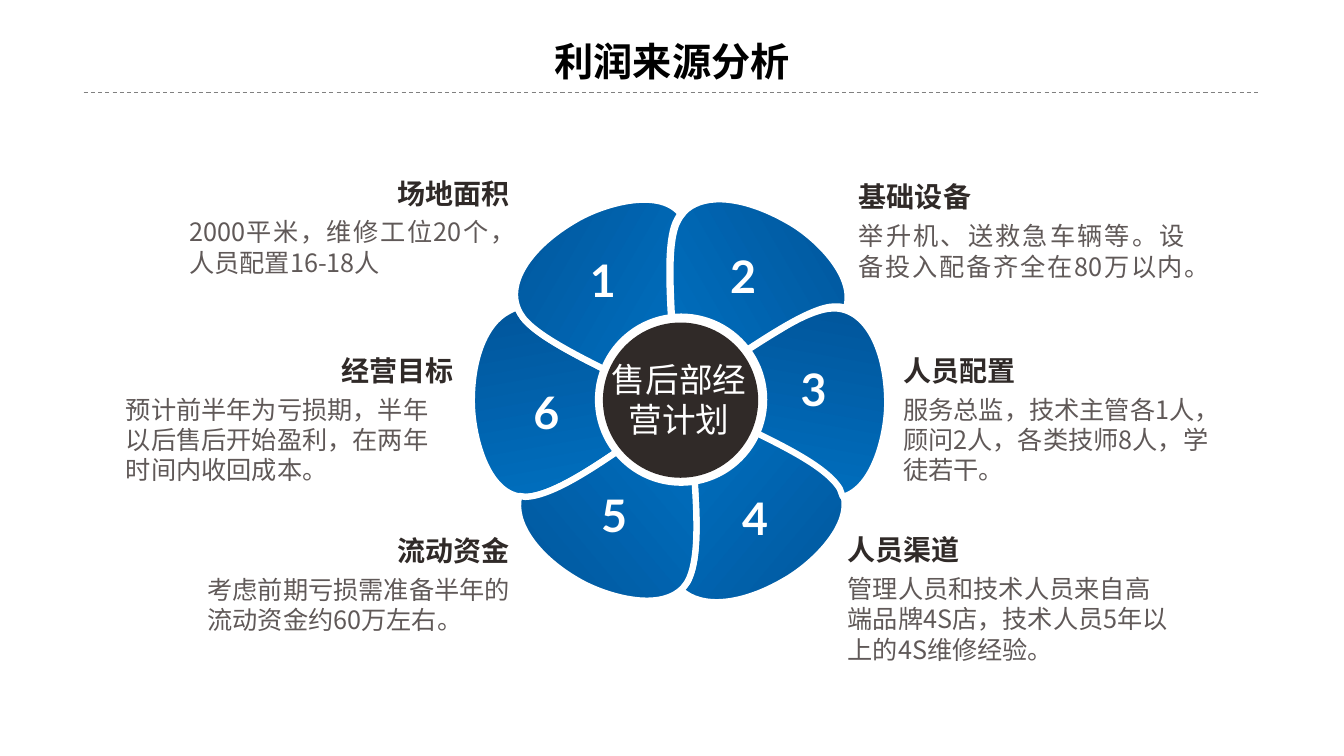
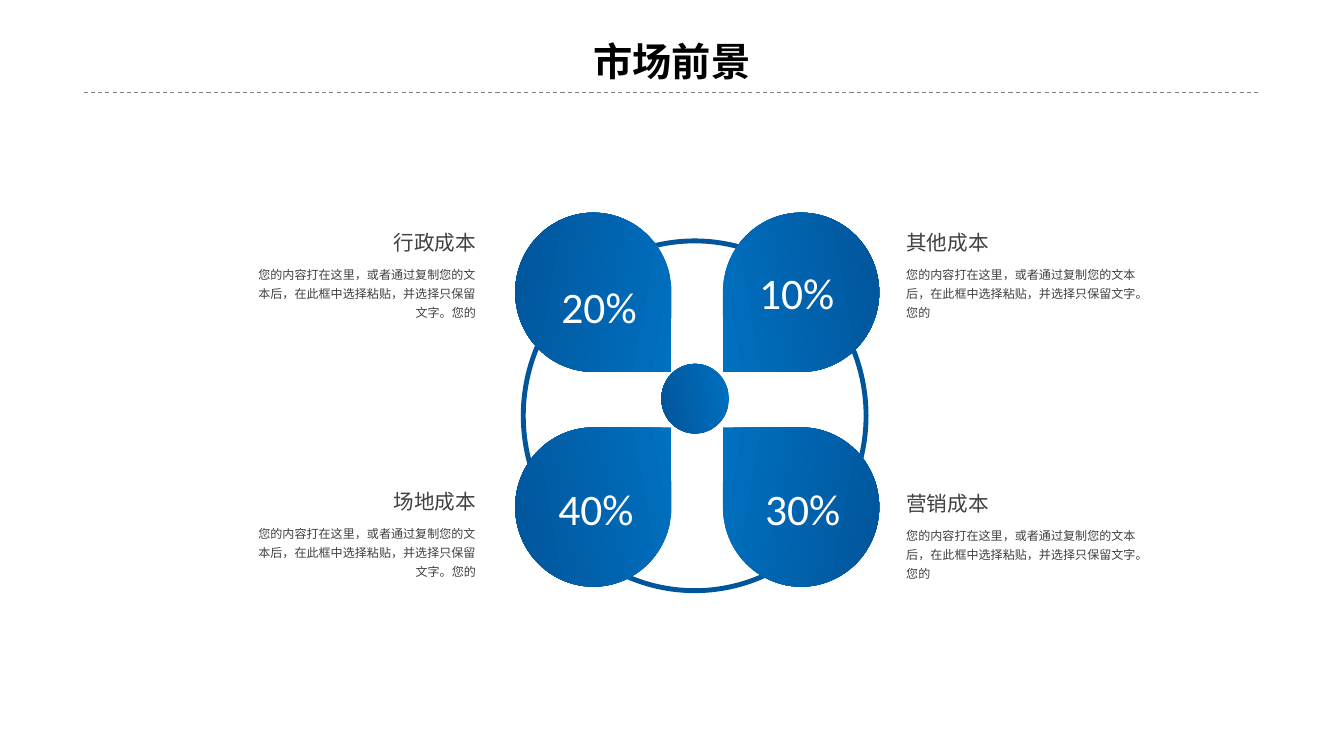
from dataclasses import dataclass
from itertools import chain

from lxml.etree import SubElement
from pptx import Presentation
from pptx.dml.color import RGBColor
from pptx.enum.dml import MSO_LINE
from pptx.enum.shapes import MSO_CONNECTOR, MSO_SHAPE
from pptx.enum.text import MSO_AUTO_SIZE, PP_ALIGN
from pptx.oxml.ns import qn
from pptx.util import Inches, Pt

COLORS = {
    "title": "000000", "rule": "808080", "white": "FFFFFF", "dark": "302A28",
    "body": "605958", "gray": "404040", "light_blue": "0070C0", "blue": "01559B",
}
CJK = "Noto Sans CJK SC"
LEFT, CENTER, RIGHT, JUSTIFY = (
    PP_ALIGN.LEFT, PP_ALIGN.CENTER, PP_ALIGN.RIGHT, PP_ALIGN.JUSTIFY)
GRADIENT_ANGLE = 170


@dataclass(frozen=True)
class TextStyle:
    size: float
    color: str
    font: str = CJK
    bold: bool = False
    spacing: float | None = None
    margin_y: float = 0.05


TITLE = TextStyle(28, "title", bold=True)
TOPIC = TextStyle(20, "dark", bold=True)
DETAIL = TextStyle(18, "body")
HUB = TextStyle(24, "white", "Lato")
NUMBER = TextStyle(32, "white", "Lato", bold=True)
PERCENT = TextStyle(31.1, "white", "Calibri")
COST = TextStyle(14.7, "gray", spacing=1.5, margin_y=0)
NOTE = TextStyle(8.65, "gray", spacing=1.3)


@dataclass(frozen=True)
class Petal:
    """Segments hold one point for a line, three for a Bezier curve."""
    angle: int
    start: tuple
    segments: tuple


@dataclass(frozen=True)
class Topic:
    number: str
    number_at: tuple
    heading: str
    heading_box: tuple
    heading_align: PP_ALIGN
    detail: str
    detail_box: tuple
    detail_align: PP_ALIGN = LEFT


@dataclass(frozen=True)
class Cost:
    name: str
    name_box: tuple
    note_box: tuple
    align: PP_ALIGN
    percent: str
    percent_box: tuple
    drop_at: tuple
    flips: tuple


PETALS = (
    Petal(330, (6.85, 2.05), (
        (7.07, 1.91, 7.44, 1.98, 7.81, 2.19), (8.07, 2.33, 8.5, 2.73, 8.39, 3.06),
        (8.35, 3.04, 8.32, 3.04, 8.28, 3.04), (8.03, 3.04, 7.52, 3.4, 7.05, 3.71),
        (7.05, 3.79), (6.69, 3.58), (6.66, 3.01, 6.6, 2.4, 6.73, 2.18),
        (6.76, 2.13, 6.8, 2.08, 6.85, 2.05))),
    Petal(260, (5.04, 3.09), (
        (5.07, 3.07, 5.1, 3.06, 5.13, 3.05), (5.14, 3.07, 5.15, 3.09, 5.16, 3.11),
        (5.28, 3.33, 5.85, 3.59, 6.35, 3.84), (6.44, 3.79), (6.44, 4.26),
        (5.99, 4.57, 5.51, 4.92, 5.21, 4.93), (4.82, 4.93, 4.68, 4.3, 4.68, 3.98),
        (4.68, 3.56, 4.81, 3.21, 5.04, 3.09))),
    Petal(40, (6.76, 4.31), (
        (7.14, 4.1), (7.63, 4.34, 8.18, 4.58, 8.33, 4.83),
        (8.53, 5.17, 8.05, 5.61, 7.78, 5.76), (7.37, 6, 6.96, 6.05, 6.75, 5.85),
        (6.78, 5.83, 6.8, 5.8, 6.82, 5.77), (6.96, 5.51, 6.9, 4.92, 6.86, 4.37))),
    Petal(210, (5.71, 2.18), (
        (5.96, 2.03, 6.53, 1.85, 6.75, 2.12), (6.74, 2.14, 6.73, 2.15, 6.72, 2.17),
        (6.59, 2.39, 6.65, 3.01, 6.68, 3.57), (6.75, 3.61), (6.35, 3.84),
        (5.85, 3.59, 5.28, 3.33, 5.16, 3.11), (4.99, 2.82, 5.26, 2.44, 5.71, 2.18))),
    Petal(280, (7.74, 3.27), (
        (7.95, 3.14, 8.14, 3.06, 8.27, 3.06), (8.6, 3.06, 8.8, 3.48, 8.8, 4),
        (8.8, 4.29, 8.68, 4.84, 8.36, 4.93), (8.35, 4.9, 8.34, 4.88, 8.33, 4.85),
        (8.18, 4.6, 7.63, 4.36, 7.14, 4.12), (7.04, 4.18), (7.04, 3.72),
        (7.27, 3.57, 7.52, 3.4, 7.74, 3.27))),
    Petal(140, (6.44, 4.13), (
        (6.86, 4.37), (6.9, 4.92, 6.96, 5.51, 6.82, 5.77),
        (6.62, 6.11, 6, 5.92, 5.73, 5.76), (5.33, 5.53, 5.08, 5.19, 5.15, 4.92),
        (5.21, 4.93), (5.51, 4.92, 5.99, 4.57, 6.44, 4.26))),
)

TOPICS = (
    Topic("1", (5.74, 2.46), "场地面积", (3.07, 1.7, 2.08, 0.44), RIGHT,
          "2000平米，维修工位20个，人员配置16-18人", (1.78, 2.1, 3.43, 0.71), JUSTIFY),
    Topic("2", (7.13, 2.42), "基础设备", (8.42, 1.73, 2.08, 0.44), LEFT,
          "举升机、送救急车辆等。设备投入配备齐全在80万以内。",
          (8.42, 2.14, 3.43, 0.71), JUSTIFY),
    Topic("3", (7.83, 3.54), "人员配置", (8.86, 3.46, 2.2, 0.44), LEFT,
          "服务总监，技术主管各1人，顾问2人，各类技师8人，学徒若干。",
          (8.86, 3.86, 3.43, 1.01)),
    Topic("4", (7.25, 4.82), "人员渠道", (8.31, 5.23, 2.68, 0.44), LEFT,
          "管理人员和技术人员来自高端品牌4S店，技术人员5年以上的4S维修经验。",
          (8.31, 5.64, 3.43, 1.01)),
    Topic("5", (5.85, 4.79), "流动资金", (2.95, 5.24, 2.2, 0.44), RIGHT,
          "考虑前期亏损需准备半年的流动资金约60万左右。", (1.96, 5.65, 3.43, 0.71)),
    Topic("6", (5.18, 3.77), "经营目标", (3.28, 3.46, 1.32, 0.44), RIGHT,
          "预计前半年为亏损期，半年以后售后开始盈利，在两年时间内收回成本。",
          (1.15, 3.86, 3.43, 1.01)),
)

COST_NOTE = "您的内容打在这里，或者通过复制您的文本后，在此框中选择粘贴，并选择只保留文字。您的"
COSTS = (
    Cost("行政成本", (3.3, 2.16, 1.52, 0.37), (2.43, 2.56, 2.39, 0.67), RIGHT,
         "20%", (5.47, 2.73, 1.05, 0.63), (5.11, 2.11), ("flipV",)),
    Cost("其他成本", (8.89, 2.16, 1.02, 0.37), (8.89, 2.56, 2.53, 0.67), LEFT,
         "10%", (7.43, 2.59, 1.18, 0.63), (7.17, 2.11), ("flipH", "flipV")),
    Cost("营销成本", (8.89, 4.75, 1.02, 0.37), (8.89, 5.15, 2.53, 0.67), LEFT,
         "30%", (7.49, 4.73, 1.06, 0.63), (7.17, 4.24), ("flipH",)),
    Cost("场地成本", (3.3, 4.73, 1.52, 0.37), (2.43, 5.13, 2.39, 0.67), RIGHT,
         "40%", (5.44, 4.73, 1.04, 0.63), (5.11, 4.24), ()),
)


def rgb(name: str) -> RGBColor:
    return RGBColor.from_string(COLORS[name])


def add_text(slide, box: tuple, text: str, style: TextStyle, align=LEFT) -> None:
    tf = slide.shapes.add_textbox(*map(Inches, box)).text_frame
    tf.word_wrap = True
    tf.auto_size = MSO_AUTO_SIZE.SHAPE_TO_FIT_TEXT
    tf.margin_top = tf.margin_bottom = Inches(style.margin_y)
    p = tf.paragraphs[0]
    p.alignment = align
    if style.spacing:
        p.line_spacing = style.spacing
    r = p.add_run()
    r.text = text
    r.font.size = Pt(style.size)
    r.font.bold = style.bold
    r.font.name = style.font
    r.font.color.rgb = rgb(style.color)
    SubElement(r.font._element, qn("a:ea")).set("typeface", CJK)


def fill_gradient(sp, angle: int = GRADIENT_ANGLE) -> None:
    """Run from light to dark blue; the angle is clockwise."""
    sp.fill.gradient()
    sp.fill.gradient_angle = 360 - angle
    for stop, position, color in zip(
            sp.fill.gradient_stops, (0, 1), ("light_blue", "blue")):
        stop.position = position
        stop.color.rgb = rgb(color)


def add_plain(slide, kind: MSO_SHAPE, box: tuple):
    sp = slide.shapes.add_shape(kind, *map(Inches, box))
    sp.shadow.inherit = False
    sp.line.fill.background()
    return sp


def add_disc(slide, box: tuple, color: str) -> None:
    sp = add_plain(slide, MSO_SHAPE.OVAL, box)
    sp.fill.solid()
    sp.fill.fore_color.rgb = rgb(color)


def bend_lines(sp, segments: tuple) -> None:
    """Merge the three lines of each curved segment into one Bezier curve."""
    lines = iter(list(sp._element.iter(qn("a:lnTo"))))
    for segment in segments:
        parts = [next(lines) for _ in segment[::2]]
        if len(parts) == 3:
            curve = parts[0].getparent().makeelement(qn("a:cubicBezTo"))
            parts[0].addprevious(curve)
            for part in parts:
                curve.append(part[0])
                part.getparent().remove(part)


def add_petal(slide, petal: Petal) -> None:
    points = chain.from_iterable(zip(s[::2], s[1::2]) for s in petal.segments)
    builder = slide.shapes.build_freeform(*map(Inches, petal.start))
    builder.add_line_segments([(Inches(x), Inches(y)) for x, y in points], close=True)
    sp = builder.convert_to_shape()
    bend_lines(sp, petal.segments)
    sp.shadow.inherit = False
    fill_gradient(sp, petal.angle)
    sp.line.color.rgb = rgb("white")
    sp.line.width = Pt(4.5)


def add_titled_slide(prs, title: str):
    slide = prs.slides.add_slide(prs.slide_layouts[6])
    add_text(slide, (3.91, 0.32, 5.51, 0.57), title, TITLE, CENTER)
    rule = slide.shapes.add_connector(
        MSO_CONNECTOR.STRAIGHT, Inches(0.83), Inches(0.92), Inches(12.5), Inches(0.92))
    rule.line.color.rgb = rgb("rule")
    rule.line.width = Pt(0.75)
    rule.line.dash_style = MSO_LINE.DASH
    SubElement(rule._element.spPr, qn("a:effectLst"))
    return slide


def build_profit_slide(prs) -> None:
    slide = add_titled_slide(prs, "利润来源分析")
    for petal in PETALS:
        add_petal(slide, petal)
    add_disc(slide, (5.9, 3.11, 1.71, 1.71), "white")
    add_disc(slide, (5.98, 3.2, 1.54, 1.54), "dark")
    for topic in TOPICS:
        add_text(slide, topic.heading_box, topic.heading, TOPIC, topic.heading_align)
        add_text(slide, topic.detail_box, topic.detail, DETAIL, topic.detail_align)
    add_text(slide, (5.95, 3.51, 1.57, 0.91), "售后部经营计划", HUB, CENTER)
    for topic in TOPICS:
        add_text(slide, (*topic.number_at, 0.48, 0.64), topic.number, NUMBER, CENTER)


def build_market_slide(prs) -> None:
    slide = add_titled_slide(prs, "市场前景")
    ring = add_plain(slide, MSO_SHAPE.OVAL, (5.19, 2.39, 3.4, 3.47))
    ring.fill.background()
    ring.line.color.rgb = rgb("blue")
    ring.line.width = Pt(3.5)
    for cost in COSTS:
        drop = add_plain(slide, MSO_SHAPE.TEAR, (*cost.drop_at, 1.55, 1.58))
        fill_gradient(drop)
        for flip in cost.flips:
            drop._element.spPr.xfrm.set(flip, "1")
        add_text(slide, cost.percent_box, cost.percent, PERCENT)
        add_text(slide, cost.name_box, cost.name, COST, cost.align)
        add_text(slide, cost.note_box, COST_NOTE, NOTE, cost.align)
    fill_gradient(add_plain(slide, MSO_SHAPE.OVAL, (6.56, 3.61, 0.67, 0.69)))


def main() -> None:
    prs = Presentation()
    prs.slide_width, prs.slide_height = Inches(13.33), Inches(7.5)
    build_profit_slide(prs)
    build_market_slide(prs)
    prs.save("out.pptx")


if __name__ == "__main__":
    main()
